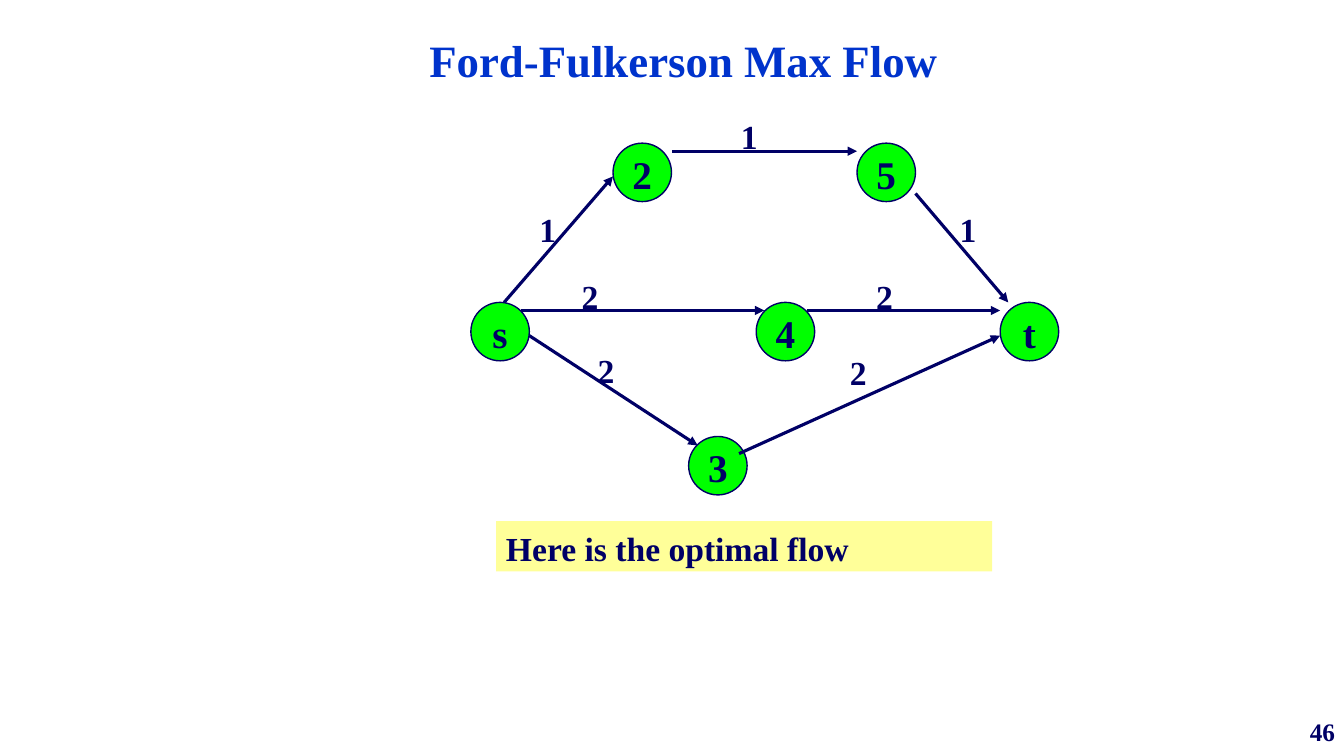
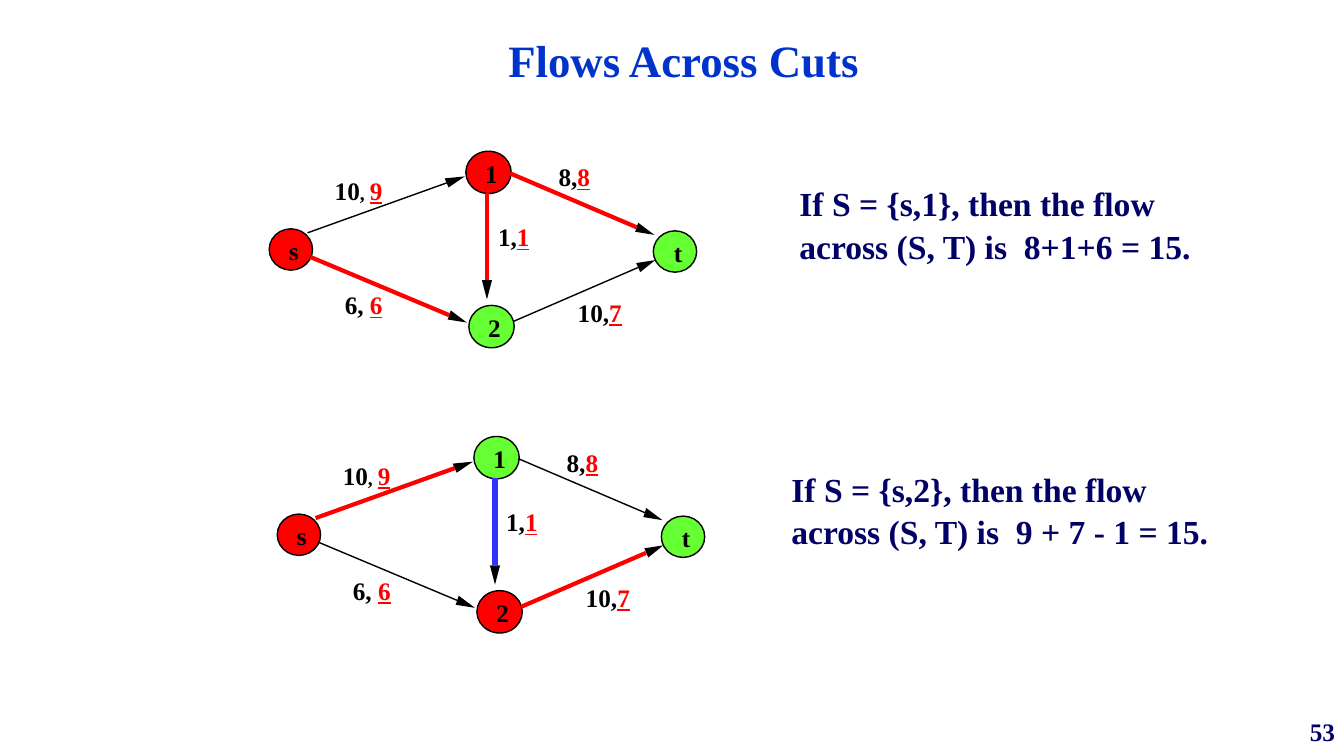
from math import hypot
from pptx import Presentation
from pptx.dml.color import RGBColor
from pptx.enum.shapes import MSO_CONNECTOR, MSO_SHAPE
from pptx.enum.text import MSO_ANCHOR, MSO_AUTO_SIZE, PP_ALIGN
from pptx.oxml.ns import qn
from pptx.util import Pt
from lxml.etree import SubElement

PX = 9144  # 100 px to the inch
FONT = "Times New Roman"
NAVY, BLUE, BLACK, RED = "000066", "0033CC", "000000", "FF0000"
GREEN, LIME, CREAM, BACK = "00FF00", "66FF33", "FFFF99", "3333FF"
INSET = (10, 5, 10, 5)
BARE = (0, 0, 0, 0)


def px(*nums):
    return [round(n * PX) for n in nums]


def tint(part, code):
    """Colour a fill or a font."""
    if hasattr(part, "solid"):
        part.solid()
        part = part.fore_color
    else:
        part = part.color
    part.rgb = RGBColor.from_string(code)


def style(part, values):
    for name, value in values.items():
        setattr(part, name, value)


def write(shape, runs, align=PP_ALIGN.LEFT, anchor=MSO_ANCHOR.TOP,
          inset=INSET, wrap=True):
    """Fill a shape with runs of (text, size, colour, underline)."""
    frame = shape.text_frame
    left, top, right, bottom = px(*inset)
    style(frame, dict(margin_left=left, margin_top=top, margin_right=right,
                      margin_bottom=bottom, word_wrap=wrap,
                      vertical_anchor=anchor, auto_size=MSO_AUTO_SIZE.NONE))
    para = frame.paragraphs[0]
    style(para, dict(alignment=align, line_spacing=1.05))
    for text, size, code, under in runs:
        run = para.add_run()
        run.text = text
        style(run.font, dict(name=FONT, size=Pt(size), bold=True,
                             underline=under))
        tint(run.font, code)


def label(shapes, box, runs, **opts):
    shape = shapes.add_textbox(*px(*box))
    write(shape, runs, **opts)
    return shape


def node(shapes, box, text, size, fill, ink, inset=BARE):
    shape = shapes.add_shape(MSO_SHAPE.OVAL, *px(*box))
    shape.shadow.inherit = False
    tint(shape.fill, fill)
    tint(shape.line, ink) if hasattr(shape.line, "solid") else tint(shape.line.fill, ink)
    shape.line.width = Pt(1)
    write(shape, [(text, size, ink, False)], PP_ALIGN.CENTER,
          MSO_ANCHOR.MIDDLE, inset, False)


def edge(shapes, start, end, ink, width, arrow=False):
    line = shapes.add_connector(MSO_CONNECTOR.STRAIGHT, *px(*start, *end))
    tint(line.line.fill, ink)
    line.line.width = Pt(width)
    props = line._element.spPr
    if arrow:
        SubElement(props.find(qn("a:ln")), qn("a:tailEnd"), type="triangle")
    SubElement(props, qn("a:effectLst"))


def dart(shapes, start, tip, ink, width):
    """Draw a line that ends in a slim black head."""
    dx, dy = tip[0] - start[0], tip[1] - start[1]
    size = hypot(dx, dy)
    dx, dy = dx / size, dy / size
    base = tip[0] - 19 * dx, tip[1] - 19 * dy
    wings = [(base[0] + k * dy, base[1] - k * dx) for k in (5, -5)]
    draw = shapes.build_freeform(*tip, scale=PX)
    draw.add_line_segments(wings, close=True)
    head = draw.convert_to_shape()
    head.shadow.inherit = False
    tint(head.fill, BLACK)
    head.line.fill.background()
    edge(shapes, start, base, ink, width)


def start(deck, title, number):
    """Add a slide with the shared title and page number."""
    slide = deck.slides.add_slide(deck.slide_layouts[5])
    head = slide.shapes.title
    left, top, width, height = px(56, 33, 1244, 58)
    style(head, dict(left=left, top=top, width=width, height=height))
    write(head, [(title, 32, BLUE, False)], PP_ALIGN.CENTER, MSO_ANCHOR.BOTTOM)
    label(slide.shapes, (1078, 700, 256, 50), [(number, 18, NAVY, False)],
          align=PP_ALIGN.RIGHT, anchor=MSO_ANCHOR.MIDDLE)
    return slide


# Optimal flow: node corners, then (start, end, label corner, flow)
FLOW = {"s": (0, 158), "2": (141, 0), "4": (283, 158),
        "5": (383, 0), "3": (216, 291), "t": (525, 158)}
LINKS = [
    ((58, 191), (225, 300), (116, 198), "2"),
    ((33, 158), (141, 33), (58, 58), "1"),
    ((50, 166), (291, 166), (100, 125), "2"),
    ((200, 8), (383, 8), (258, -34), "1"),
    ((333, 166), (525, 166), (392, 125), "2"),
    ((266, 308), (525, 191), (366, 200), "2"),
    ((441, 50), (533, 158), (475, 58), "1"),
]

# Cut network: node boxes, then (ends, start, tip, label corner, label runs)
NODES = {"s": (0, 77, 43, 41), "1": (195, 0, 45, 42),
         "2": (198, 153, 45, 42), "t": (381, 79, 43, 41)}
ARCS = [
    ("s1", (38, 81), (194, 25), (65, 22), [("10", 18), (", ", 14)], "9"),
    ("s2", (41, 105), (196, 170), (75, 136), [("6, ", 18)], "6"),
    ("1t", (239, 22), (382, 83), (287, 9), [("8,", 18)], "8"),
    ("2t", (242, 169), (383, 108), (306, 143), [("10,", 18)], "7"),
    ("12", (216, 41), (216, 147), (227, 68), [("1,", 18)], "1"),
]


def shift(x, y):
    return lambda spot: (x + spot[0], y + spot[1], *spot[2:])


def flow(slide, x, y):
    """Draw the flow graph with its corner at x, y."""
    shapes = slide.shapes.add_group_shape().shapes
    move = shift(x, y)
    for *_, spot, text in LINKS:
        label(shapes, (*move(spot), 59, 50), [(text, 24, NAVY, False)])
    for name, spot in FLOW.items():
        node(shapes, (*move(spot), 58, 58), name, 28, GREEN, NAVY)
    for tail, tip, *_ in LINKS:
        edge(shapes, move(tail), move(tip), NAVY, 2.25, arrow=True)


def cut(slide, x, y, side):
    """Draw the network; side names the nodes in S."""
    shapes = slide.shapes.add_group_shape().shapes
    move = shift(x, y)
    for name, box in NODES.items():
        node(shapes, move(box), name, 18, RED if name in side else LIME,
             BLACK, (6, 0, 0, 0))
    for (a, b), tail, tip, spot, cap, used in ARCS:
        # Arcs leaving S are red, arcs returning to S are blue
        pen = {(True, False): (RED, 3), (False, True): (BACK, 4.5)}.get(
            (a in side, b in side), (BLACK, 1))
        dart(shapes, move(tail), move(tip), *pen)
        runs = [(text, size, BLACK, False) for text, size in cap]
        label(shapes, (*move(spot), 60, 40), runs + [(used, 18, RED, True)],
              inset=BARE)


def main():
    deck = Presentation()
    style(deck, dict(slide_width=1333 * PX, slide_height=750 * PX))

    # Optimal flow
    slide = start(deck, "Ford-Fulkerson Max Flow", "46")
    flow(slide, 467, 142)
    note = label(slide.shapes, (492, 517, 492, 50),
                 [("Here is the optimal flow", 24, NAVY, False)])
    tint(note.fill, CREAM)

    # Two cuts of one network
    slide = start(deck, "Flows Across Cuts", "53")
    cuts = [
        (267, 150, "s1", (783, 175, 450, 91),
         "If S = {s,1}, then the flow across (S, T) is  8+1+6 = 15."),
        (275, 433, "s2", (775, 458, 442, 91),
         "If S = {s,2}, then the flow across (S, T) is  9 + 7 - 1 = 15."),
    ]
    for x, y, side, box, text in cuts:
        cut(slide, x, y, side)
        label(slide.shapes, box, [(text, 24, NAVY, False)])

    deck.save("out.pptx")


if __name__ == "__main__":
    main()
